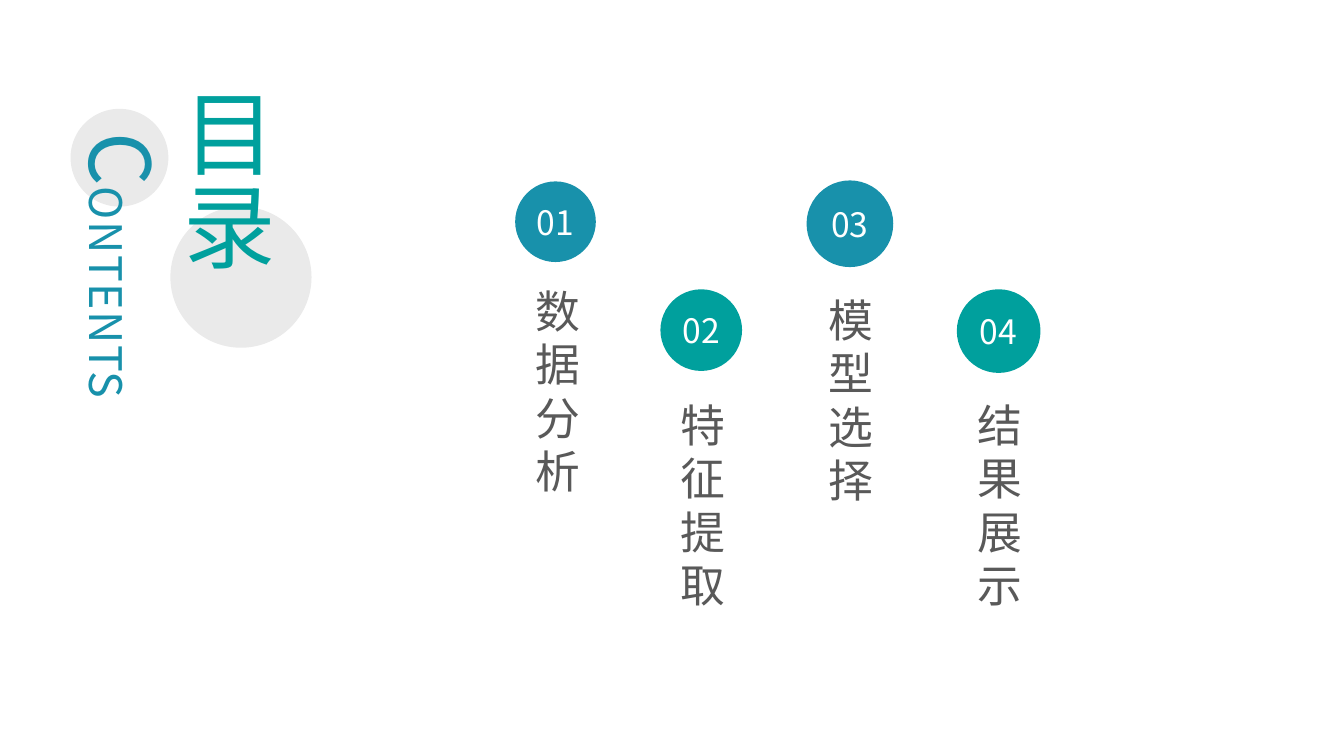
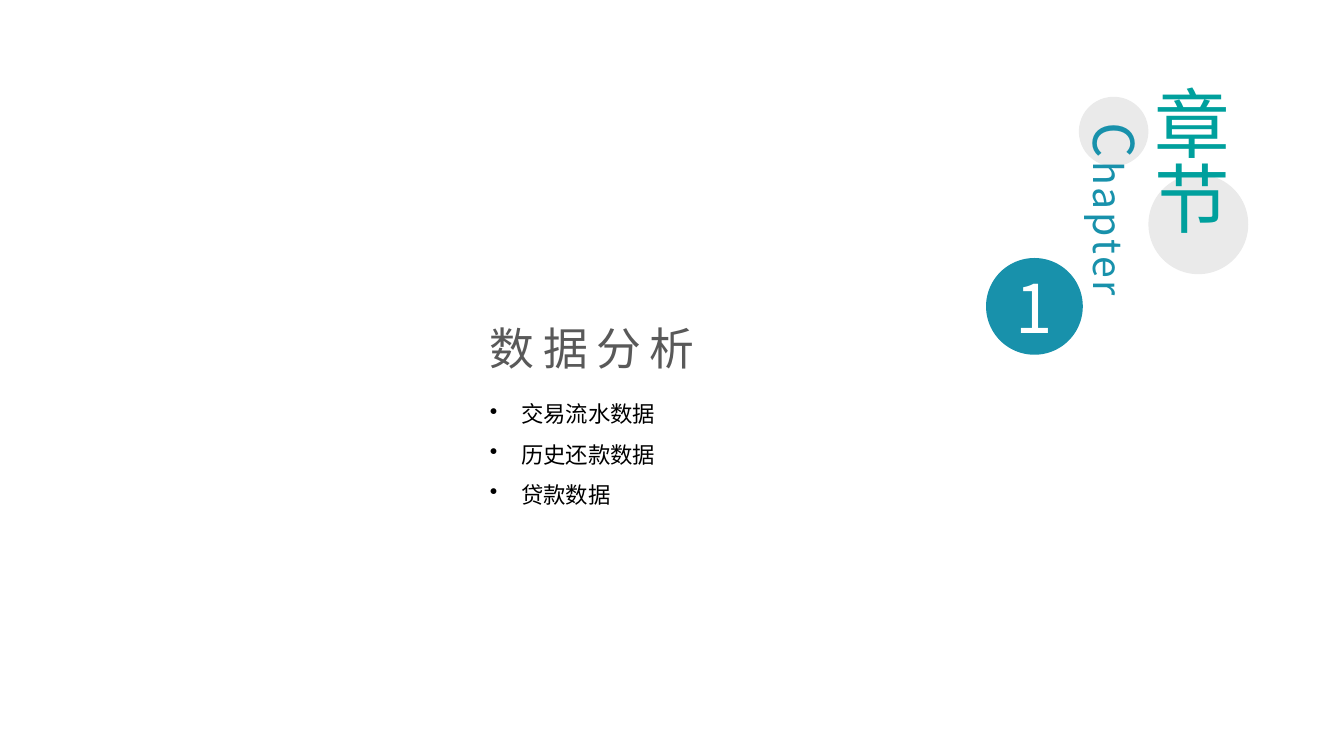
import dataclasses
import typing

import lxml.etree
import pptx
import pptx.dml.color
import pptx.enum.shapes
import pptx.enum.text
import pptx.oxml.ns
import pptx.slide
import pptx.text.text
import pptx.util

Inches = pptx.util.Inches
Pt = pptx.util.Pt
qn = pptx.oxml.ns.qn
Slide = pptx.slide.Slide

# Shared look
FONT = "Noto Sans CJK SC"
COLORS = {
    "teal": "00A09D",
    "blue": "1891AB",
    "pale": "EAEAEA",
    "gray": "595959",
    "white": "FFFFFF",
    "black": "000000",
}
Box = tuple[float, float, float, float]
Disc = tuple[float, float, float]


@dataclasses.dataclass(frozen=True)
class Style:
    size: float
    color: str
    gap: float = 0


@dataclasses.dataclass(frozen=True)
class Title:
    discs: tuple[Disc, Disc]
    word: str
    word_box: Box
    cap: float
    size: float
    gap: float
    name: str
    name_box: Box
    name_size: float


@dataclasses.dataclass(frozen=True)
class Topic:
    mark: str
    name: str
    color: str
    disc: Disc
    label: Box


LABEL = Style(32, "gray", 6)
NUMBER = Style(24, "white")
POINT = Style(16, "black")

# Content
TITLES = (
    Title(((1.69, 2.05, 1.4), (0.7, 1.08, 0.97)),
          "CONTENTS", (0.65, 1.31, 1.15, 5.42), 60, 32, 1,
          "目录", (1.46, 0.77, 1.57, 2.55), 66),
    Title(((11.39, 1.73, 0.99), (10.7, 0.96, 0.69)),
          "Chapter", (10.66, 1.22, 0.81, 3.83), 40, 28, 2,
          "章节", (11.24, 0.75, 1.11, 1.81), 54),
)
TOPICS = (
    Topic("01", "数据分析", "blue", (5.11, 1.8, 0.8), (5.11, 2.87, 0.81, 3.33)),
    Topic("02", "特征提取", "teal", (6.55, 2.87, 0.81), (6.55, 4, 0.81, 3.33)),
    Topic("03", "模型选择", "blue", (8, 1.79, 0.86), (8.02, 2.96, 0.81, 3.33)),
    Topic("04", "结果展示", "teal", (9.49, 2.87, 0.83), (9.5, 4, 0.81, 3.27)),
)
POINTS = ("交易流水数据", "历史还款数据", "贷款数据")


def paint(color: str) -> pptx.dml.color.RGBColor:
    return pptx.dml.color.RGBColor.from_string(COLORS[color])


def format_run(run: typing.Any, style: Style) -> None:
    run.font.size = Pt(style.size)
    run.font.color.rgb = paint(style.color)
    run.font.name = FONT
    props = run._r.get_or_add_rPr()
    lxml.etree.SubElement(props, qn("a:ea")).set("typeface", FONT)
    if style.gap:
        props.set("spc", str(int(style.gap * 100)))


def clear_insets(frame: pptx.text.text.TextFrame) -> None:
    frame.margin_left = frame.margin_right = 0
    frame.margin_top = frame.margin_bottom = 0


def add_disc(slide: Slide, disc: Disc, color: str,
             mark: str = "", style: Style = NUMBER) -> None:
    left, top, size = disc
    shape = slide.shapes.add_shape(
        pptx.enum.shapes.MSO_SHAPE.OVAL,
        Inches(left), Inches(top), Inches(size), Inches(size))
    shape.shadow.inherit = False
    shape.fill.solid()
    shape.fill.fore_color.rgb = paint(color)
    shape.line.fill.background()
    if mark:
        frame = shape.text_frame
        clear_insets(frame)
        frame.vertical_anchor = pptx.enum.text.MSO_ANCHOR.MIDDLE
        frame.text = mark
        para = frame.paragraphs[0]
        para.alignment = pptx.enum.text.PP_ALIGN.CENTER
        format_run(para.runs[0], style)


def add_text(slide: Slide, box: Box, text: str, style: Style,
             upright: bool = False, inset: bool = False,
             ) -> pptx.text.text.TextFrame:
    shape = slide.shapes.add_textbox(*map(Inches, box))
    frame = shape.text_frame
    frame.word_wrap = True
    if not inset:
        clear_insets(frame)
    if upright:
        frame.vertical_anchor = pptx.enum.text.MSO_ANCHOR.MIDDLE
        shape.element.txBody.bodyPr.set("vert", "eaVert")
    frame.text = text
    for para in frame.paragraphs:
        format_run(para.runs[0], style)
    return frame


def add_bullet(para: typing.Any) -> None:
    props = para._p.get_or_add_pPr()
    indent = Inches(0.31)
    props.set("marL", str(indent))
    props.set("indent", str(-indent))
    lxml.etree.SubElement(props, qn("a:buChar")).set("char", "•")


def add_title(slide: Slide, title: Title) -> None:
    for disc in title.discs:
        add_disc(slide, disc, "pale")
    # Large first letter, then the rest of the word
    frame = add_text(slide, title.word_box, title.word[0],
                     Style(title.cap, "blue", title.gap), upright=True)
    rest = frame.paragraphs[0].add_run()
    rest.text = title.word[1:]
    format_run(rest, Style(title.size, "blue", title.gap))
    add_text(slide, title.name_box, title.name,
             Style(title.name_size, "teal"), upright=True, inset=True)


def fill_contents(slide: Slide) -> None:
    for topic in TOPICS:
        add_disc(slide, topic.disc, topic.color, topic.mark)
        add_text(slide, topic.label, topic.name, LABEL, upright=True)


def fill_chapter(slide: Slide) -> None:
    add_disc(slide, (9.78, 2.56, 0.96), "blue", "1", Style(48, "white"))
    head = add_text(slide, (4.86, 3.02, 4.83, 0.83), TOPICS[0].name, LABEL)
    head.paragraphs[0].line_spacing = 1.3
    points = add_text(slide, (4.86, 3.84, 4.85, 1.76),
                      "\n".join(POINTS), POINT)
    for para in points.paragraphs:
        para.line_spacing = 1.5
        add_bullet(para)


def main() -> None:
    deck = pptx.Presentation()
    deck.slide_width = Inches(13.33)
    deck.slide_height = Inches(7.5)
    blank = deck.slide_layouts[6]
    for title, fill in zip(TITLES, (fill_contents, fill_chapter)):
        slide = deck.slides.add_slide(blank)
        add_title(slide, title)
        fill(slide)
    deck.save("out.pptx")


if __name__ == "__main__":
    main()
